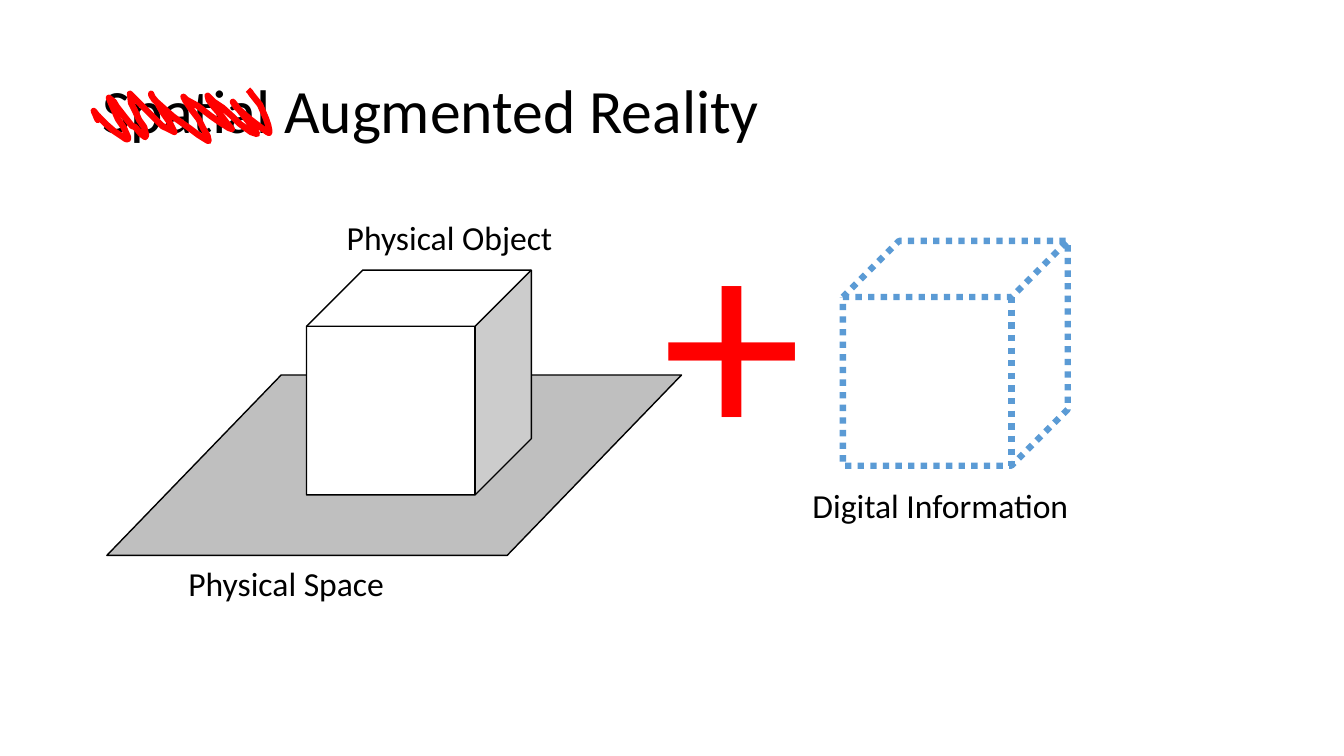
from pptx import Presentation
from pptx.dml.color import RGBColor
from pptx.enum.dml import MSO_LINE
from pptx.enum.shapes import MSO_SHAPE
from pptx.enum.text import MSO_ANCHOR
from pptx.util import Inches, Pt

BLACK = RGBColor(0x00, 0x00, 0x00)
WHITE = RGBColor(0xFF, 0xFF, 0xFF)
GREY = RGBColor(0xBF, 0xBF, 0xBF)
BLUE = RGBColor(0x5B, 0x9B, 0xD5)
RED = RGBColor(0xFF, 0x00, 0x00)

CUBE_SIZE = 2.23
LABEL_HEIGHT = 0.5

# Pen stroke over the first title word, in hundredths of an inch
# from the top left corner of the title box.
SCRIBBLE = [
    (154, 49), (156, 51), (158, 54), (166, 64), (172, 78), (174, 84), (175, 89),
    (175, 92), (173, 91), (165, 85), (157, 79), (149, 72), (142, 66), (139, 61),
    (146, 70), (153, 79), (160, 87), (163, 93), (157, 91), (146, 83), (139, 76),
    (129, 67), (120, 61), (114, 55), (115, 59), (120, 66), (127, 74), (133, 82),
    (138, 88), (135, 87), (127, 82), (117, 75), (104, 65), (93, 59), (90, 56),
    (92, 60), (98, 69), (105, 78), (110, 88), (114, 95), (115, 100), (113, 99),
    (105, 94), (97, 88), (83, 78), (79, 75), (70, 67), (61, 59), (58, 54),
    (58, 53), (59, 56), (64, 62), (69, 71), (76, 81), (81, 91), (73, 87),
    (69, 85), (50, 66), (42, 58), (37, 53), (38, 62), (42, 70), (46, 79),
    (51, 86), (53, 94), (52, 96), (48, 93), (42, 86), (39, 85), (31, 75),
    (24, 66), (21, 61), (16, 57), (18, 62), (25, 78), (31, 87), (35, 96),
    (35, 98), (33, 98), (21, 90), (13, 83), (5, 75), (1, 70), (2, 72),
    (4, 77), (5, 79), (5, 73),
]


def add_text(slide, left, top, width, height, text, size, color=BLACK, wrap=False):
    box = slide.shapes.add_textbox(
        Inches(left), Inches(top), Inches(width), Inches(height))
    frame = box.text_frame
    frame.text = text
    frame.word_wrap = wrap
    font = frame.paragraphs[0].runs[0].font
    font.name = "Calibri"
    font.size = Pt(size)
    font.color.rgb = color
    return frame


def style_shape(shape, fill, line_color, line_width):
    shape.shadow.inherit = False
    if fill is None:
        shape.fill.background()
    else:
        shape.fill.solid()
        shape.fill.fore_color.rgb = fill
    shape.line.color.rgb = line_color
    shape.line.width = Pt(line_width)


def add_preset(slide, preset, left, top, width, height, fill, line_color, line_width):
    shape = slide.shapes.add_shape(
        preset, Inches(left), Inches(top), Inches(width), Inches(height))
    style_shape(shape, fill, line_color, line_width)
    return shape


def add_title(slide, left, top, width, height):
    frame = add_text(slide, left, top, width, height,
                     "Spatial Augmented Reality", 44, wrap=True)
    frame.vertical_anchor = MSO_ANCHOR.MIDDLE
    frame.paragraphs[0].line_spacing = 0.9


def add_scribble(slide, left, top):
    """Strike out the first word of the title whose corner is given."""
    builder = slide.shapes.build_freeform(*SCRIBBLE[0], scale=Inches(0.01))
    builder.add_line_segments(SCRIBBLE[1:], close=False)
    scribble = builder.convert_to_shape(Inches(left), Inches(top))
    style_shape(scribble, None, RED, 4.5)


def add_physical_scene(slide, left, top):
    """Place the cube on its ground plane, with both labels."""
    ground = add_preset(slide, MSO_SHAPE.PARALLELOGRAM, left, top + 1.62,
                        5.7, 1.79, GREY, BLACK, 1)
    ground.adjustments[0] = 0.966
    add_preset(slide, MSO_SHAPE.CUBE, left + 1.98, top + 0.58,
               CUBE_SIZE, CUBE_SIZE, WHITE, BLACK, 1)
    add_text(slide, left + 0.71, top + 3.44, 2.16, LABEL_HEIGHT, "Physical Space", 24)
    add_text(slide, left + 2.28, top, 2.26, LABEL_HEIGHT, "Physical Object", 24)


def add_digital_scene(slide, left, top):
    cube = add_preset(slide, MSO_SHAPE.CUBE, left + 0.4, top,
                      CUBE_SIZE, CUBE_SIZE, None, BLUE, 4.5)
    cube.line.dash_style = MSO_LINE.ROUND_DOT
    add_text(slide, left, top + 2.37, 2.76, LABEL_HEIGHT, "Digital Information", 24)


def main():
    presentation = Presentation()
    presentation.slide_width = Inches(13.33)
    presentation.slide_height = Inches(7.5)
    slide = presentation.slides.add_slide(presentation.slide_layouts[6])
    add_title(slide, 0.92, 0.4, 11.5, 1.45)
    add_physical_scene(slide, 1.06, 2.1)
    add_digital_scene(slide, 7.96, 2.39)
    add_text(slide, 6.47, 1.54, 1.6, 3.47, "+", 200, RED)
    add_scribble(slide, 0.92, 0.4)
    presentation.save("out.pptx")


if __name__ == "__main__":
    main()
